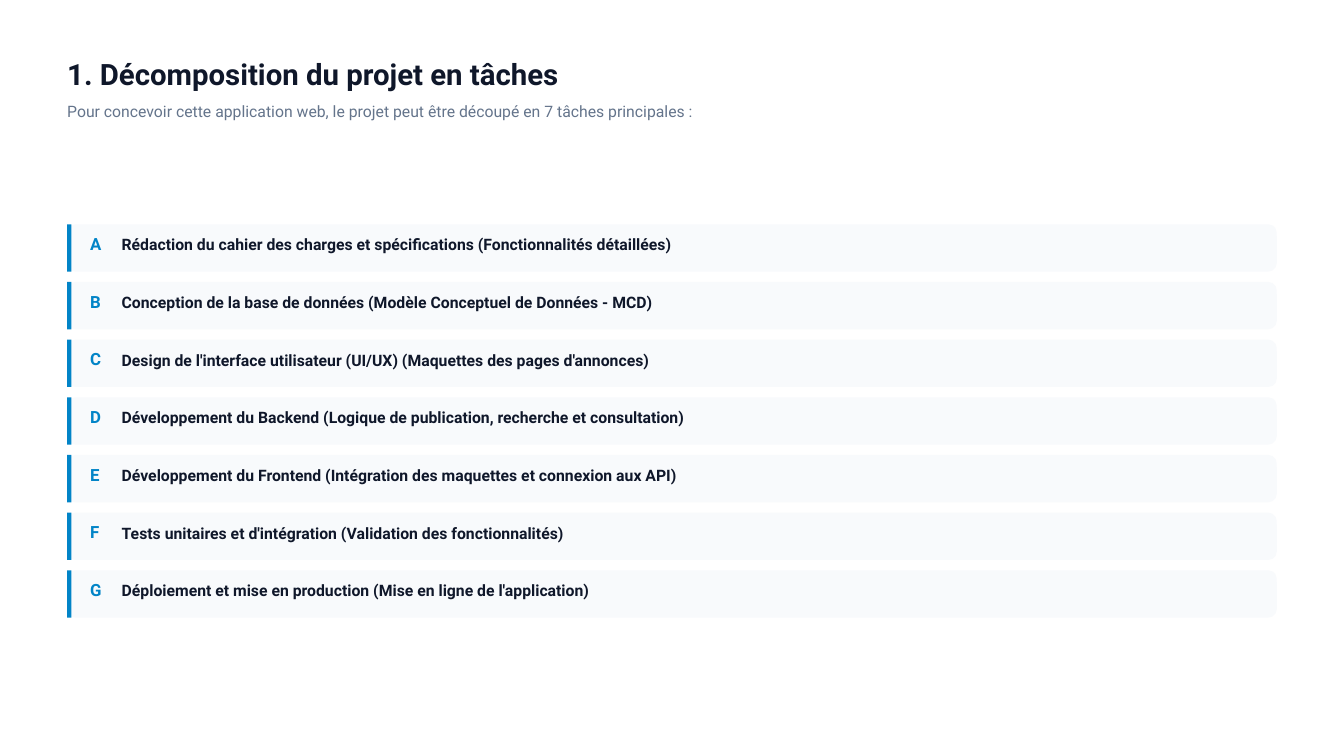
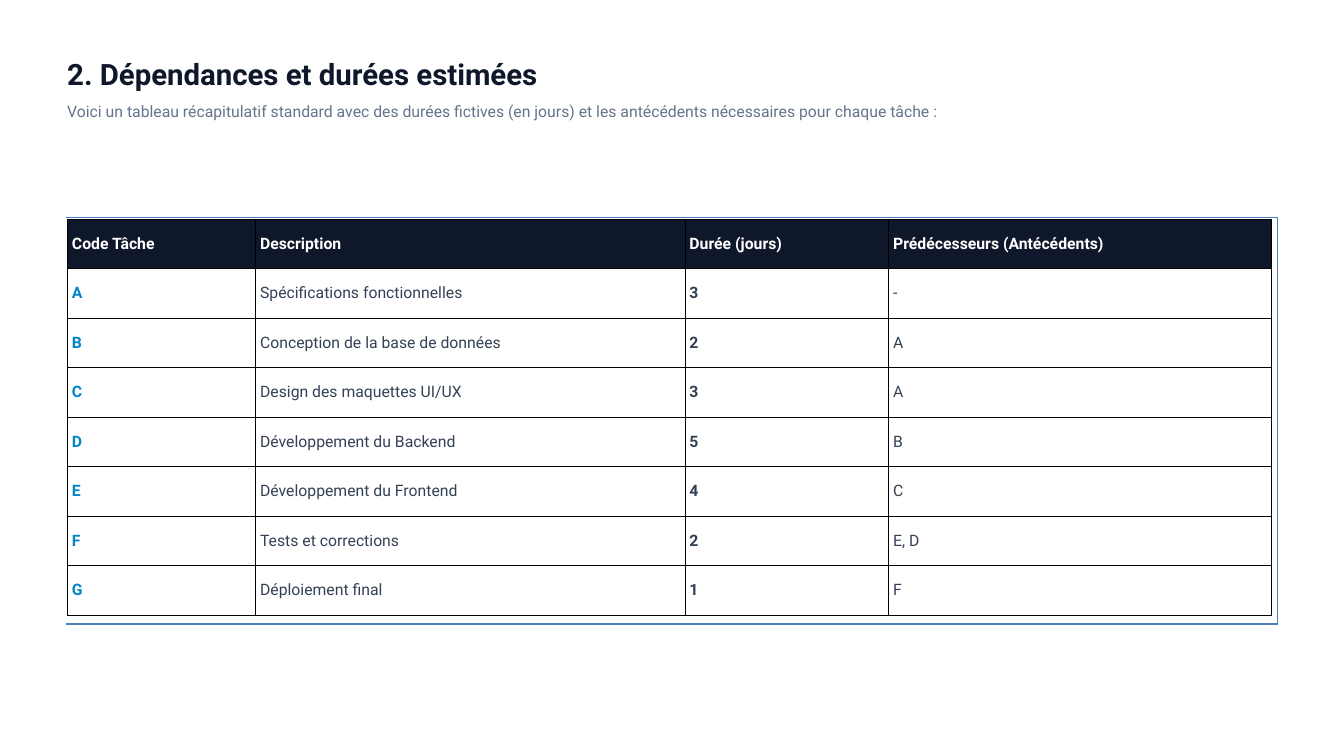
import pptx
import pptx.dml.color
import pptx.enum.shapes
import pptx.enum.text
import pptx.oxml.ns
import pptx.util
from lxml import etree

Cm = pptx.util.Cm
Pt = pptx.util.Pt
qn = pptx.oxml.ns.qn
KIND = pptx.enum.shapes.MSO_SHAPE
FONT = "Roboto"
BODY = 16.9
LEFT = 2.54
HUES = {
    "ink": "0F172A",
    "blue": "0284C7",
    "gray": "64748B",
    "slate": "334155",
    "card": "F8FAFC",
    "white": "FFFFFF",
    "frame": "4A7EBB",
    "black": "000000",
}
TASKS = [
    "Rédaction du cahier des charges et spécifications (Fonctionnalités détaillées)",
    "Conception de la base de données (Modèle Conceptuel de Données - MCD)",
    "Design de l'interface utilisateur (UI/UX) (Maquettes des pages d'annonces)",
    "Développement du Backend (Logique de publication, recherche et consultation)",
    "Développement du Frontend (Intégration des maquettes et connexion aux API)",
    "Tests unitaires et d'intégration (Validation des fonctionnalités)",
    "Déploiement et mise en production (Mise en ligne de l'application)",
]
PLAN = [
    ["Code Tâche", "Description", "Durée (jours)", "Prédécesseurs (Antécédents)"],
    ["A", "Spécifications fonctionnelles", "3", "-"],
    ["B", "Conception de la base de données", "2", "A"],
    ["C", "Design des maquettes UI/UX", "3", "A"],
    ["D", "Développement du Backend", "5", "B"],
    ["E", "Développement du Frontend", "4", "C"],
    ["F", "Tests et corrections", "2", "E, D"],
    ["G", "Déploiement final", "1", "F"],
]


def tint(hue):
    return pptx.dml.color.RGBColor.from_string(HUES[hue])


def write(frame, text, size=BODY, hue="ink", bold=False, bare=False):
    para = frame.paragraphs[0]
    if bare:
        props = para._p.get_or_add_pPr()
        props.set("marL", "0")
        props.set("indent", "0")
        etree.SubElement(props, qn("a:buNone"))
    para.alignment = pptx.enum.text.PP_ALIGN.LEFT
    para.line_spacing = Pt(size * 1.2)
    para.space_before = Pt(0)
    run = para.add_run()
    run.text = text
    run.font.name = FONT
    run.font.size = Pt(size)
    run.font.bold = bold
    run.font.color.rgb = tint(hue)


class Deck:
    def __init__(self):
        self.file = pptx.Presentation()
        self.file.slide_width = Cm(50.8)
        self.file.slide_height = Cm(28.58)
        self.slide = None

    def page(self, title, lead):
        self.slide = self.file.slides.add_slide(self.file.slide_layouts[1])
        head, body = self.slide.shapes.title, self.slide.placeholders[1]
        self.fit(head, LEFT, 2.11, 48.26, 1.33)
        write(head.text_frame, title, size=31.5, bold=True)
        self.fit(body, LEFT, 3.84, 48.26, 0.86)
        write(body.text_frame, lead, hue="gray", bare=True)

    def fit(self, shape, left, top, width, height):
        shape.left, shape.top = Cm(left), Cm(top)
        shape.width, shape.height = Cm(width), Cm(height)
        frame = shape.text_frame
        frame.margin_left = frame.margin_right = 0
        frame.margin_top = frame.margin_bottom = 0
        frame.word_wrap = True
        frame.auto_size = pptx.enum.text.MSO_AUTO_SIZE.SHAPE_TO_FIT_TEXT
        frame.vertical_anchor = pptx.enum.text.MSO_ANCHOR.TOP

    def label(self, text, left, top, width, height, **style):
        box = self.slide.shapes.add_textbox(0, 0, 0, 0)
        self.fit(box, left, top, width, height)
        write(box.text_frame, text, **style)

    def block(self, kind, left, top, width, height, hue):
        shape = self.slide.shapes.add_shape(
            kind, Cm(left), Cm(top), Cm(width), Cm(height))
        shape.shadow.inherit = False
        shape.fill.solid()
        shape.fill.fore_color.rgb = tint(hue)
        shape.line.fill.background()
        return shape

    def task(self, code, text, top):
        card = self.block(KIND.ROUNDED_RECTANGLE, LEFT, top, 45.72, 1.79, "card")
        card.adjustments[0] = 0.18
        self.block(KIND.RECTANGLE, LEFT, top, 0.16, 1.79, "blue")
        self.label(code, 3.41, top + 0.36, 1.1, 0.94, size=18, hue="blue", bold=True)
        self.label(text, 4.6, top + 0.41, 46.2, 0.86, bold=True)

    def frame(self, left, top, right, base):
        pen = self.slide.shapes.build_freeform(Cm(left), Cm(top))
        spots = [(right, top), (right, base), (left, base)]
        pen.add_line_segments([(Cm(x), Cm(y)) for x, y in spots], close=False)
        shape = pen.convert_to_shape()
        shape.shadow.inherit = False
        shape.fill.solid()
        shape.fill.fore_color.rgb = tint("white")
        shape.line.color.rgb = tint("frame")
        shape.line.width = Pt(1.13)

    def edge(self, cell):
        props = cell._tc.get_or_add_tcPr()
        for place, side in enumerate(("lnL", "lnR", "lnT", "lnB")):
            line = etree.Element(qn("a:" + side), w=str(Pt(0.37)))
            fill = etree.SubElement(line, qn("a:solidFill"))
            etree.SubElement(fill, qn("a:srgbClr"), val=HUES["black"])
            props.insert(place, line)

    def cell(self, cell, text, back, **style):
        cell.fill.solid()
        cell.fill.fore_color.rgb = tint(back)
        cell.margin_left = cell.margin_right = Cm(0.18)
        cell.margin_top = cell.margin_bottom = Cm(0.18)
        cell.vertical_anchor = pptx.enum.text.MSO_ANCHOR.MIDDLE
        write(cell.text_frame, text, **style)
        self.edge(cell)

    def table(self, rows, widths, left, top, height):
        grid = self.slide.shapes.add_table(
            len(rows), len(widths), Cm(left), Cm(top),
            Cm(sum(widths)), Cm(height * len(rows))).table
        grid.horz_banding = False
        for col, width in zip(grid.columns, widths):
            col.width = Cm(width)
        looks = [("blue", True), ("slate", False), ("slate", True), ("slate", False)]
        for i, row in enumerate(rows):
            grid.rows[i].height = Cm(height)
            for j, text in enumerate(row):
                hue, bold = looks[j] if i else ("white", True)
                back = "white" if i else "ink"
                self.cell(grid.cell(i, j), text, back, hue=hue, bold=bold)


def main():
    deck = Deck()
    deck.page("1. Décomposition du projet en tâches",
              "Pour concevoir cette application web, le projet peut être "
              "découpé en 7 tâches principales :")
    for i, (code, text) in enumerate(zip("ABCDEFG", TASKS)):
        deck.task(code, text, 8.48 + 2.18 * i)

    deck.page("2. Dépendances et durées estimées",
              "Voici un tableau récapitulatif standard avec des durées fictives "
              "(en jours) et les antécédents nécessaires pour chaque tâche :")
    deck.frame(2.51, 8.24, 48.29, 23.59)
    deck.table(PLAN, [7.11, 16.23, 7.7, 14.48], LEFT, 8.28, 1.87)
    deck.file.save("out.pptx")


if __name__ == "__main__":
    main()
